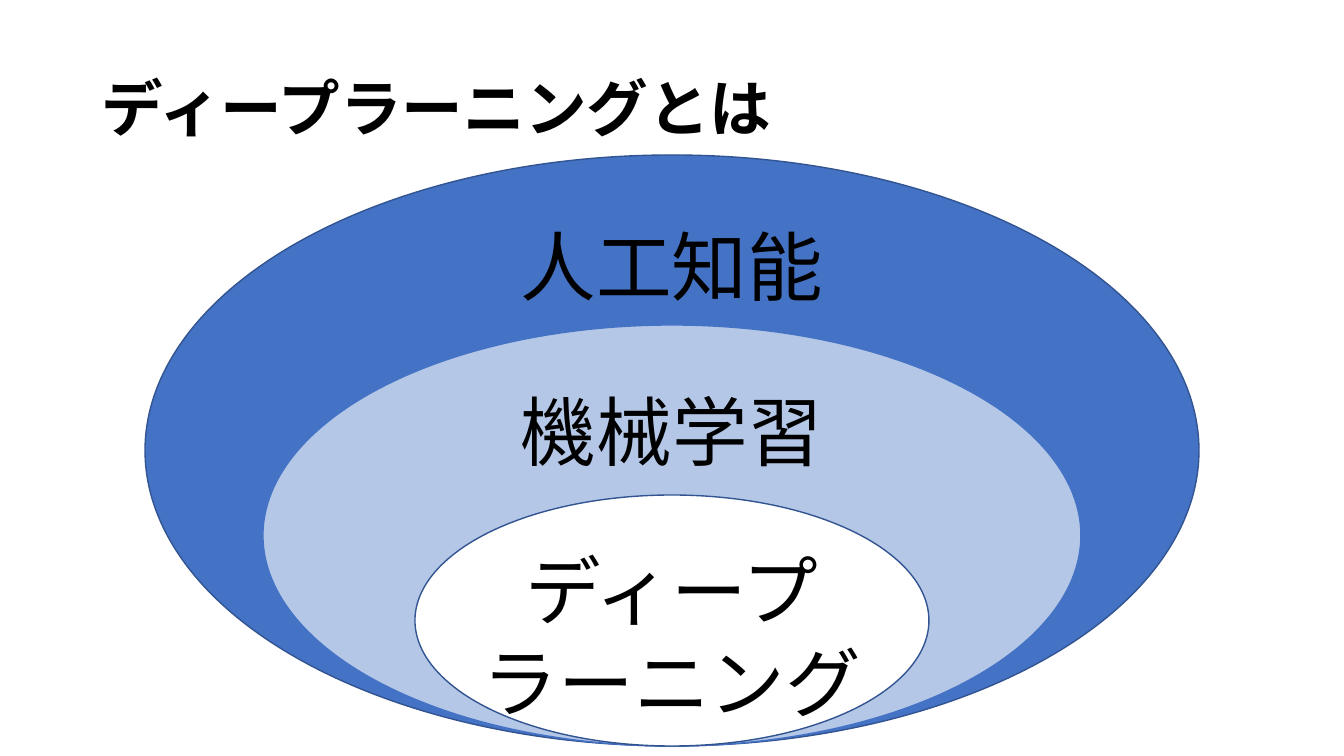
from lxml import etree
from pptx import Presentation
from pptx import util as u
from pptx.dml.color import RGBColor
from pptx.enum import shapes, text
from pptx.oxml.ns import qn

SCALE = 914400 / 100.8
FONT = "Noto Sans CJK JP"
COLORS = {"ink": "000000", "blue": "4472C4", "pale": "B4C7E7",
          "white": "FFFFFF", "edge": "325491"}
CENTER, BOTTOM = 672, 746


def px(*lengths):
    """Turn pixel lengths into EMU."""
    return [u.Emu(round(length * SCALE)) for length in lengths]


def add_text(page, bounds, lines, size, bold=False):
    """Add a text box with one paragraph per line and return it."""
    box = page.shapes.add_textbox(*px(*bounds))
    frame = box.text_frame
    frame.word_wrap = True
    frame.text = "\n".join(lines)
    for para in frame.paragraphs:
        para.font.size = u.Pt(size)
        para.font.bold = bold
        para.font.color.rgb = RGBColor.from_string(COLORS["ink"])
        for span in para.runs:
            span.font.name = FONT
            east_asian = etree.SubElement(span.font._element, qn("a:ea"))
            east_asian.set("typeface", FONT)
    return box


deck = Presentation()
deck.slide_width, deck.slide_height = px(1344, 756)
page = deck.slides.add_slide(deck.slide_layouts[6])

title = add_text(page, (92, 38, 1159, 146), ["ディープラーニングとは"], 44, bold=True)
title.text_frame.vertical_anchor = text.MSO_ANCHOR.MIDDLE
title.text_frame.paragraphs[0].line_spacing = 0.9

# Nested fields, outermost first: the ellipses share a centre line and a bottom
fields = [
    # shape, width, top, fill, line, label top, label width, label lines
    ("FLOWCHART_CONNECTOR", 1054, 155, "blue", "edge", 209, 374, ["人工知能"]),
    ("OVAL", 818, 325, "pale", "blue", 374, 326, ["機械学習"]),
    ("OVAL", 514, 495, "white", "edge", 533, 402, ["ディープ", "ラーニング"]),
]
for kind, width, top, fill, line, label_top, label_width, lines in fields:
    ellipse = page.shapes.add_shape(
        shapes.MSO_SHAPE[kind],
        *px(CENTER - width / 2, top, width, BOTTOM - top))
    ellipse.shadow.inherit = False
    ellipse.fill.solid()
    ellipse.fill.fore_color.rgb = RGBColor.from_string(COLORS[fill])
    ellipse.line.color.rgb = RGBColor.from_string(COLORS[line])
    ellipse.line.width = u.Pt(1)

    label = add_text(
        page,
        (CENTER - label_width / 2, label_top, label_width, 10 + 92 * len(lines)),
        lines, 54)
    label.text_frame.margin_top, label.text_frame.margin_bottom = px(9, 1)
    for para in label.text_frame.paragraphs:
        para.alignment = text.PP_ALIGN.CENTER
        para.line_spacing = u.Pt(66)

deck.save("out.pptx")
